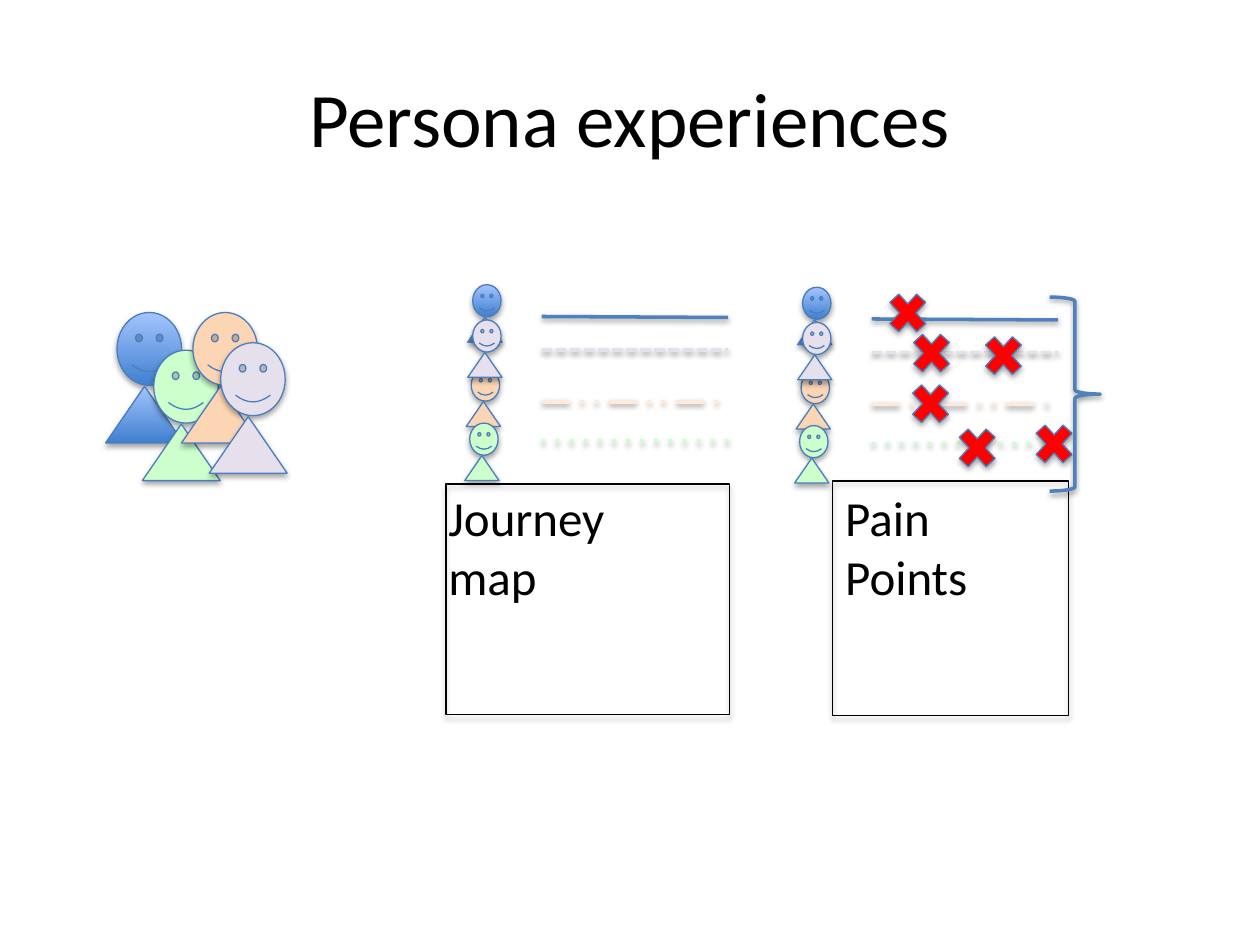
from pptx import Presentation
from pptx.dml.color import RGBColor
from pptx.enum.shapes import MSO_CONNECTOR, MSO_SHAPE as SHAPE
from pptx.enum.text import MSO_ANCHOR, PP_ALIGN
from pptx.oxml import parse_xml
from pptx.oxml.ns import nsdecls
from pptx.util import Cm, Pt

BLACK = RGBColor(0x00, 0x00, 0x00)
BLUE = RGBColor(0x4F, 0x81, 0xBD)
OUTLINE = RGBColor(0x4B, 0x7E, 0xBC)
DEEP_BLUE = RGBColor(0x3F, 0x80, 0xCE)
LIGHT_BLUE = RGBColor(0xA4, 0xC4, 0xFF)
GREEN = RGBColor(0xCC, 0xFF, 0xCC)
PEACH = RGBColor(0xFC, 0xD5, 0xB5)
PALE_PEACH = RGBColor(0xFD, 0xEA, 0xDA)
LAVENDER = RGBColor(0xE6, 0xE0, 0xEC)
RED = RGBColor(0xFF, 0x00, 0x00)
BLUE_FADE = (DEEP_BLUE, LIGHT_BLUE)


class Sketch:
    """Style and current slide, with one method per kind of element."""

    font = "Calibri"
    thin, thick = Pt(0.75), Pt(2)

    def __init__(self, slide):
        self.slide = slide

    def shadow(self, element, distance=23000, alpha=35000):
        element.spPr.append(parse_xml(
            f'<a:effectLst {nsdecls("a")}><a:outerShdw blurRad="40000" '
            f'dist="{distance}" dir="5400000" rotWithShape="0">'
            f'<a:srgbClr val="000000"><a:alpha val="{alpha}"/></a:srgbClr>'
            '</a:outerShdw></a:effectLst>'))

    def set_text(self, frame, lines, size, align):
        frame.word_wrap = True
        frame.text = "\n".join(lines)
        for paragraph in frame.paragraphs:
            paragraph.alignment = align
            style = {"name": self.font, "size": Pt(size)}
            for key, value in style.items():
                setattr(paragraph.font, key, value)
            paragraph.font.color.rgb = BLACK

    def title(self, text, left, top, width, height):
        heading = self.slide.shapes.title
        place = {"left": left, "top": top, "width": width, "height": height}
        for key, value in place.items():
            setattr(heading, key, Cm(value))
        self.set_text(heading.text_frame, [text], 44, PP_ALIGN.CENTER)
        heading.text_frame.vertical_anchor = MSO_ANCHOR.MIDDLE

    def label(self, lines, *box):
        caption = self.slide.shapes.add_textbox(*map(Cm, box))
        self.set_text(caption.text_frame, lines, 28, PP_ALIGN.LEFT)

    def shape(self, kind, *box, fill=None, line=OUTLINE, width=thin, **shadow):
        item = self.slide.shapes.add_shape(kind, *map(Cm, box))
        if fill is None:
            item.fill.background()
        elif fill is BLUE_FADE:
            item.fill.gradient()
            item.fill.gradient_angle = 90
            for stop, color in zip(item.fill.gradient_stops, fill):
                stop.color.rgb = color
        else:
            item.fill.solid()
            item.fill.fore_color.rgb = fill
        item.line.color.rgb = line
        item.line.width = width
        self.shadow(item._element, **shadow)

    def persona(self, left, top, fill, scale=1.0):
        self.shape(SHAPE.SMILEY_FACE, left, top, 1.3 * scale, 1.47 * scale, fill=fill)
        self.shape(SHAPE.ISOSCELES_TRIANGLE, left - 0.23 * scale, top + 1.49 * scale,
                   1.57 * scale, 1.14 * scale, fill=fill)

    def track(self, left, top, right, bottom, color, dash):
        route = self.slide.shapes.add_connector(
            MSO_CONNECTOR.STRAIGHT, *map(Cm, (left, top, right, bottom)))
        route.line.color.rgb = color
        route.line.width = self.thick
        route.line._get_or_add_ln().append(
            parse_xml(f'<a:prstDash {nsdecls("a")} val="{dash}"/>'))
        self.shadow(route._element, distance=20000, alpha=38000)

    def journey(self, dx, dy):
        small = 0.44
        for left, top, fill in ((9.53, 5.74, BLUE_FADE), (9.5, 7.44, PEACH),
                                (9.53, 6.45, LAVENDER)):
            self.persona(left + dx, top + dy, fill, small)
        for start, end, color, dash in ((6.38, 6.4, BLUE, "solid"),
                                        (7.06, 7.06, LAVENDER, "sysDash"),
                                        (8.1, 8.1, PALE_PEACH, "lgDashDotDot"),
                                        (8.89, 8.89, GREEN, "dot")):
            self.track(10.92 + dx, start + dy, 14.68 + dx, end + dy, color, dash)
        self.persona(9.47 + dx, 8.53 + dy, GREEN, small)


def main():
    deck = Presentation()
    deck.slide_width, deck.slide_height = Cm(25.4), Cm(19.05)
    sketch = Sketch(deck.slides.add_slide(deck.slide_layouts[5]))
    sketch.title("Persona experiences", 1.27, 0.76, 22.86, 3.18)

    # Captions and their frames
    sketch.label(["Journey", "map"], 8.79, 9.7, 5.89, 2.64)
    sketch.shape(SHAPE.RECTANGLE, 8.99, 9.76, 5.72, 4.65, line=BLACK)
    sketch.label(["Pain", "Points"], 16.79, 9.7, 4.75, 2.64)
    sketch.shape(SHAPE.RECTANGLE, 16.79, 9.7, 4.75, 4.72, line=BLACK)

    # Group of personas
    for left, top, fill in ((2.36, 6.3, BLUE_FADE), (3.1, 7.06, GREEN),
                            (3.89, 6.3, PEACH), (4.45, 6.91, LAVENDER)):
        sketch.persona(left, top, fill)

    # Journey map, then the same map with pain points
    for dx, dy in ((0, 0), (6.65, 0.05)):
        sketch.journey(dx, dy)
    for left, top in ((17.78, 5.74), (18.26, 6.55), (19.71, 6.6),
                      (18.24, 7.57), (19.18, 8.46), (20.73, 8.38)):
        sketch.shape(SHAPE.MATH_MULTIPLY, left, top, 1.04, 1.14, fill=RED)
    sketch.shape(SHAPE.RIGHT_BRACE, 21.16, 5.99, 1.02, 3.91, line=BLUE,
                 width=sketch.thick, distance=20000, alpha=38000)

    deck.save("out.pptx")


if __name__ == "__main__":
    main()
